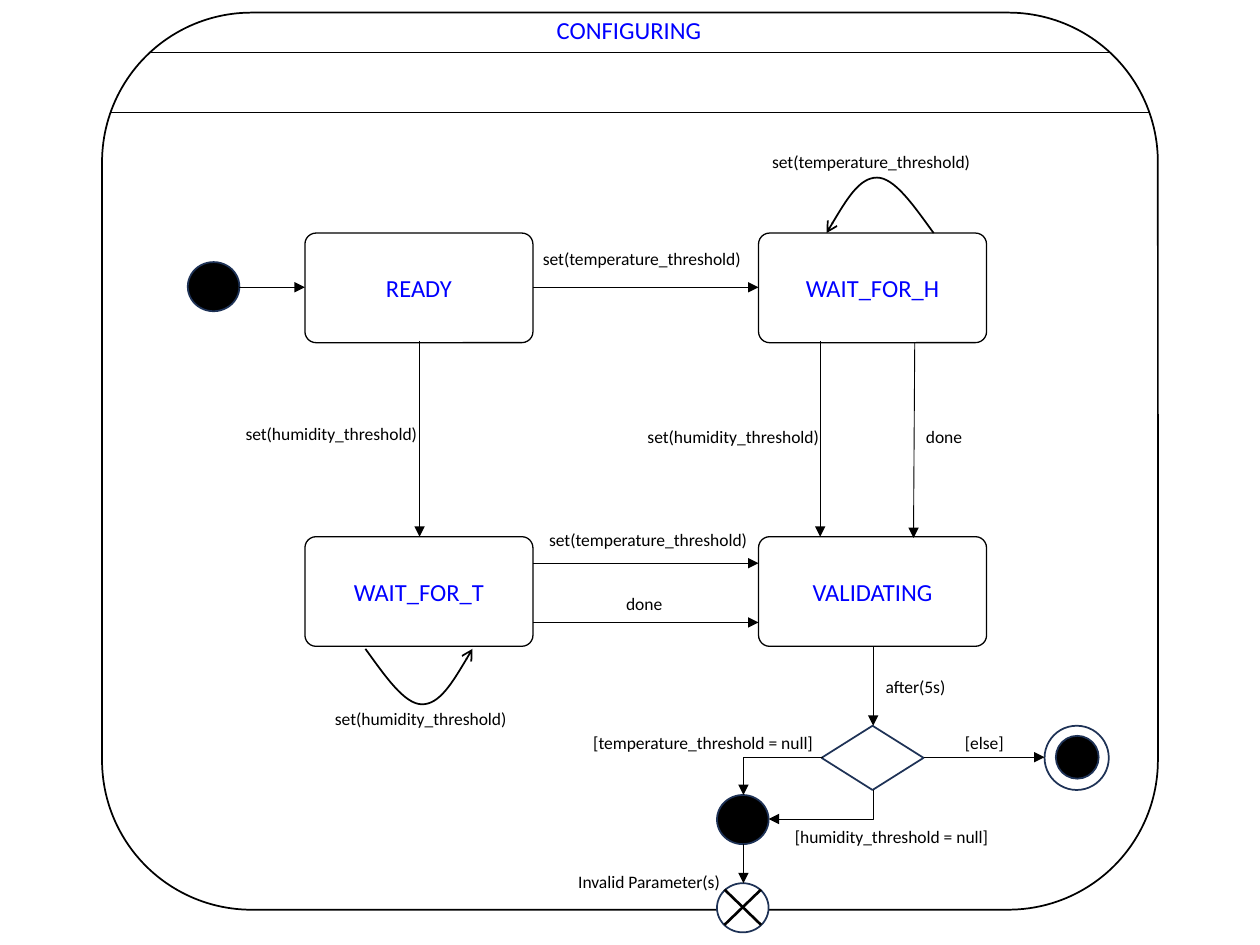
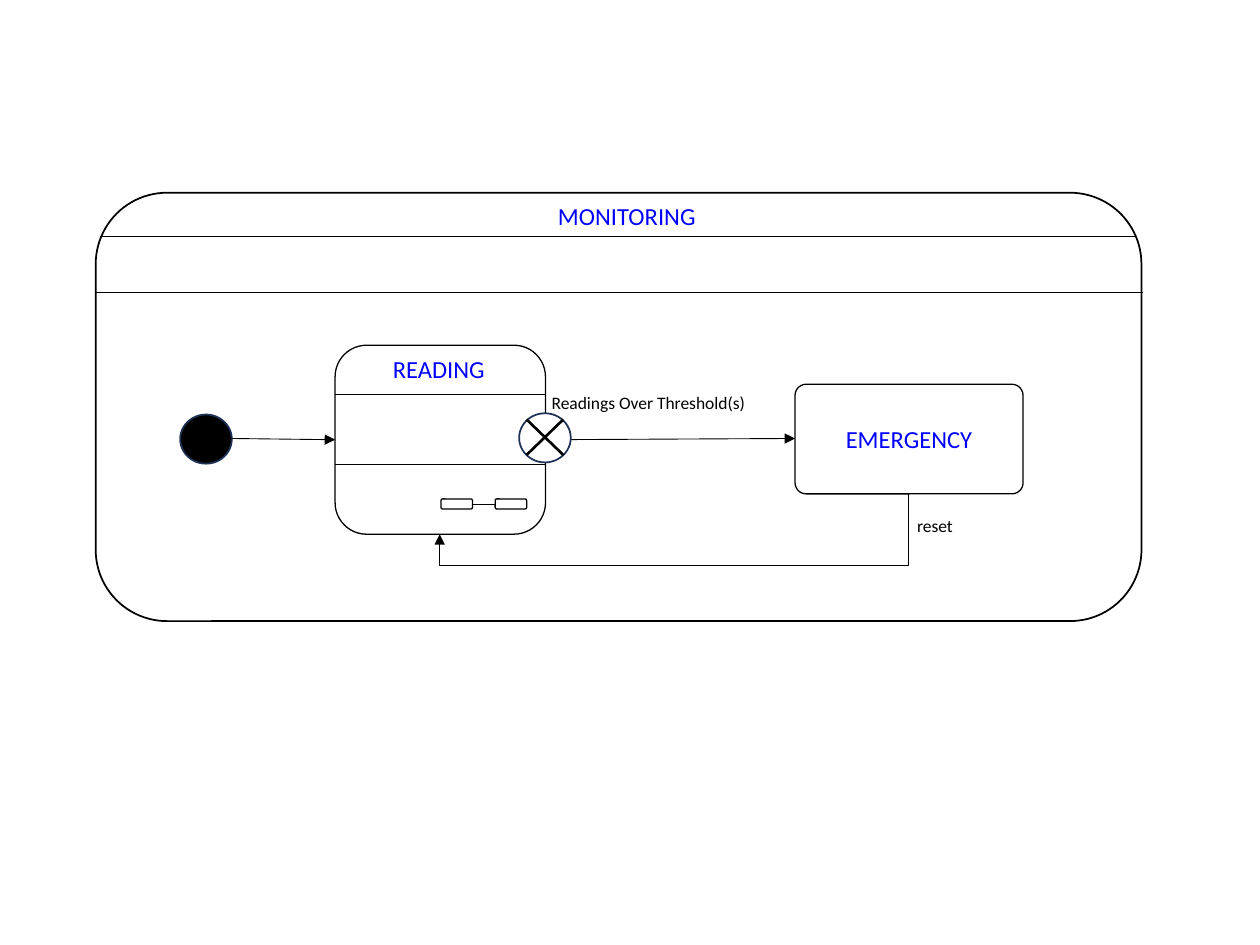
from dataclasses import dataclass
from typing import NamedTuple

from lxml import etree
from pptx import Presentation
from pptx.dml.color import RGBColor
from pptx.enum.shapes import MSO_CONNECTOR, MSO_SHAPE
from pptx.enum.text import MSO_ANCHOR, MSO_AUTO_SIZE, PP_ALIGN
from pptx.oxml.ns import qn
from pptx.util import Inches, Pt

ROUNDED = MSO_SHAPE.ROUNDED_RECTANGLE
CIRCLE = MSO_SHAPE.FLOWCHART_CONNECTOR
DECISION = MSO_SHAPE.FLOWCHART_DECISION
STRAIGHT = MSO_CONNECTOR.STRAIGHT
ELBOW = MSO_CONNECTOR.ELBOW


@dataclass(frozen=True)
class Theme:
    font: str = "Calibri"
    black: RGBColor = RGBColor(0, 0, 0)
    white: RGBColor = RGBColor(255, 255, 255)
    state_name: RGBColor = RGBColor(0, 0, 255)
    node_edge: RGBColor = RGBColor(0x1E, 0x32, 0x56)
    name_size: float = 14
    label_size: float = 10
    thin: float = 0.5
    state_edge: float = 0.75
    frame_edge: float = 1
    cross: float = 1.5


THEME = Theme()
STATE_SIZE = (1.81, 0.87)
NODE_SIZE = (0.41, 0.39)
LOOP_STEPS = [(0.16, 0.22), (0.31, 0.44), (0.45, 0.44), (0.59, 0.44), (0.72, 0.22), (0.85, 0)]


class Label(NamedTuple):
    text: str
    left: float
    top: float
    width: float


class State(NamedTuple):
    name: str
    left: float
    top: float


class Arrow(NamedTuple):
    x1: float
    y1: float
    x2: float
    y2: float


class SelfLoop(NamedTuple):
    left: float
    top: float
    direction: int


class Elbow(NamedTuple):
    left: float
    top: float
    width: float
    height: float
    rotation: int
    flipped: bool = False
    overshoot: float = 0


def write(shape, text: str, size: float, color: RGBColor, align=PP_ALIGN.LEFT) -> None:
    frame = shape.text_frame
    frame.word_wrap = False
    para = frame.paragraphs[0]
    para.text = text
    para.alignment = align
    para.font.name = THEME.font
    para.font.size = Pt(size)
    para.font.color.rgb = color


def style(shape, width: float, edge: RGBColor = THEME.black, fill: RGBColor | None = None) -> None:
    shape.shadow.inherit = False
    shape.line.color.rgb = edge
    shape.line.width = Pt(width)
    if fill is None:
        shape.fill.background()
    else:
        shape.fill.solid()
        shape.fill.fore_color.rgb = fill


def add_outline(shapes, preset, left: float, top: float, width: float, height: float,
                weight: float, edge: RGBColor = THEME.black, fill: RGBColor | None = None):
    shape = shapes.add_shape(preset, Inches(left), Inches(top), Inches(width), Inches(height))
    style(shape, weight, edge, fill)
    return shape


def add_text(shapes, label: Label, size: float = THEME.label_size,
             color: RGBColor = THEME.black) -> None:
    height = 0.34 if size == THEME.name_size else 0.27
    box = shapes.add_textbox(Inches(label.left), Inches(label.top),
                             Inches(label.width), Inches(height))
    write(box, label.text, size, color)
    box.text_frame.auto_size = MSO_AUTO_SIZE.SHAPE_TO_FIT_TEXT


def add_name(shapes, label: Label) -> None:
    add_text(shapes, label, THEME.name_size, THEME.state_name)


def add_state(shapes, state: State) -> None:
    shape = add_outline(shapes, ROUNDED, state.left, state.top, *STATE_SIZE, THEME.state_edge)
    shape.adjustments[0] = 0.101
    shape.text_frame.vertical_anchor = MSO_ANCHOR.MIDDLE
    write(shape, state.name, THEME.name_size, THEME.state_name, PP_ALIGN.CENTER)


def add_head(shape, kind: str) -> None:
    etree.SubElement(shape.line._get_or_add_ln(), qn("a:tailEnd"), type=kind)


def add_line(shapes, x1: float, y1: float, x2: float, y2: float,
             weight: float = THEME.thin, head: bool = False, kind=STRAIGHT):
    line = shapes.add_connector(kind, Inches(x1), Inches(y1), Inches(x2), Inches(y2))
    line.line.color.rgb = THEME.black
    line.line.width = Pt(weight)
    if head:
        add_head(line, "triangle")
    etree.SubElement(line._element.spPr, qn("a:effectLst"))
    return line


def add_elbow(shapes, elbow: Elbow) -> None:
    line = add_line(shapes, elbow.left, elbow.top, elbow.left + elbow.width,
                    elbow.top + elbow.height, head=True, kind=ELBOW)
    properties = line._element.spPr
    frame = properties.find(qn("a:xfrm"))
    frame.set("rot", str(elbow.rotation * 60000))
    if elbow.flipped:
        frame.set("flipV", "1")
    geometry = properties.find(qn("a:prstGeom"))
    if elbow.overshoot:
        guides = geometry.find(qn("a:avLst"))
        if guides is None:
            guides = etree.SubElement(geometry, qn("a:avLst"))
        etree.SubElement(guides, qn("a:gd"), name="adj1",
                         fmla=f"val {round(elbow.overshoot * 100000)}")
    else:
        geometry.set("prst", "bentConnector2")


def add_self_loop(shapes, loop: SelfLoop) -> None:
    builder = shapes.build_freeform(Inches(loop.left), Inches(loop.top))
    builder.add_line_segments(
        [(Inches(loop.left + loop.direction * dx), Inches(loop.top + loop.direction * dy))
         for dx, dy in LOOP_STEPS], close=False)
    shape = builder.convert_to_shape()
    style(shape, THEME.frame_edge)
    add_head(shape, "arrow")
    outline = next(shape._element.iter(qn("a:path")))
    segments = outline.findall(qn("a:lnTo"))
    for start in range(0, len(segments), 3):
        curve = etree.SubElement(outline, qn("a:cubicBezTo"))
        for segment in segments[start:start + 3]:
            curve.append(segment[0])
            outline.remove(segment)


def add_start(shapes, left: float, top: float) -> None:
    add_outline(shapes, CIRCLE, left, top, *NODE_SIZE, THEME.frame_edge,
                THEME.node_edge, THEME.black)


def add_exit(shapes, left: float, top: float) -> None:
    group = shapes.add_group_shape().shapes
    add_outline(group, CIRCLE, left, top, *NODE_SIZE, THEME.frame_edge,
                THEME.node_edge, THEME.white)
    x1, x2, y1, y2 = left + 0.06, left + 0.35, top + 0.05, top + 0.33
    add_line(group, x1, y2, x2, y1, THEME.cross)
    add_line(group, x1, y1, x2, y2, THEME.cross)


def add_final(shapes, left: float, top: float) -> None:
    group = shapes.add_group_shape().shapes
    add_outline(group, CIRCLE, left + 0.09, top + 0.08, 0.34, 0.34, THEME.frame_edge,
                THEME.node_edge, THEME.black)
    add_outline(group, CIRCLE, left, top, 0.51, 0.51, THEME.frame_edge, THEME.node_edge)


def add_diagram(shapes, states: list[State], arrows: list[Arrow],
                elbows: list[Elbow], labels: list[Label]) -> None:
    for state in states:
        add_state(shapes, state)
    for arrow in arrows:
        add_line(shapes, *arrow, head=True)
    for elbow in elbows:
        add_elbow(shapes, elbow)
    for label in labels:
        add_text(shapes, label)


def build_configuring(shapes) -> None:
    set_temperature, set_humidity = "set(temperature_threshold)", "set(humidity_threshold)"
    add_outline(shapes, ROUNDED, 0.81, 0.1, 8.38, 7.12, THEME.frame_edge)
    add_name(shapes, Label("CONFIGURING", 4.32, 0.07, 1.36))
    add_line(shapes, 1.18, 0.42, 8.81, 0.42)
    add_line(shapes, 0.88, 0.89, 9.12, 0.89)
    add_start(shapes, 1.49, 2.08)
    add_start(shapes, 5.69, 6.31)
    add_exit(shapes, 5.69, 7.01)
    add_final(shapes, 8.29, 5.76)
    add_outline(shapes, DECISION, 6.52, 5.76, 0.81, 0.51, THEME.frame_edge, THEME.node_edge)
    add_self_loop(shapes, SelfLoop(7.41, 1.85, -1))
    add_self_loop(shapes, SelfLoop(2.9, 5.15, 1))
    add_diagram(
        shapes,
        [State("READY", 2.42, 1.85), State("WAIT_FOR_H", 6.02, 1.85),
         State("WAIT_FOR_T", 2.42, 4.26), State("VALIDATING", 6.02, 4.26)],
        [Arrow(1.9, 2.28, 2.42, 2.28), Arrow(4.23, 2.28, 6.02, 2.28),
         Arrow(3.33, 2.71, 3.33, 4.26), Arrow(6.51, 2.71, 6.51, 4.26),
         Arrow(7.26, 2.72, 7.25, 4.27), Arrow(4.23, 4.47, 6.02, 4.47),
         Arrow(4.23, 4.94, 6.02, 4.94), Arrow(6.93, 5.13, 6.93, 5.76),
         Arrow(7.33, 6.01, 8.29, 6.01), Arrow(5.9, 6.7, 5.9, 7.01)],
        [Elbow(5.9, 6.01, 0.63, 0.3, 180, flipped=True), Elbow(6.4, 5.97, 0.23, 0.83, 90)],
        [Label(set_temperature, 4.21, 1.92, 1.8), Label(set_temperature, 6.03, 1.15, 1.8),
         Label(set_temperature, 4.26, 4.15, 1.8), Label(set_humidity, 1.85, 3.31, 1.58),
         Label(set_humidity, 5.04, 3.33, 1.58), Label(set_humidity, 2.56, 5.57, 1.58),
         Label("done", 7.25, 3.33, 0.49), Label("done", 4.87, 4.66, 0.49),
         Label("after(5s)", 6.93, 5.32, 0.69), Label("[else]", 7.56, 5.76, 0.52),
         Label("[temperature_threshold = null]", 4.61, 5.76, 1.98),
         Label("[humidity_threshold = null]", 6.21, 6.51, 1.76),
         Label("Invalid Parameter(s)", 4.49, 6.86, 1.35)])


def add_reading(shapes) -> None:
    group = shapes.add_group_shape().shapes
    add_outline(group, ROUNDED, 2.66, 2.74, 1.67, 1.5, THEME.state_edge)
    add_name(group, Label("READING", 3.02, 2.76, 0.94))
    for divider in (3.13, 3.69):
        add_line(group, 2.66, divider, 4.33, divider)
    for left in (3.5, 3.93):
        add_outline(group, ROUNDED, left, 3.96, 0.25, 0.08, THEME.state_edge)
    add_line(group, 3.75, 4, 3.93, 4)


def build_monitoring(shapes) -> None:
    add_outline(shapes, ROUNDED, 0.76, 1.53, 8.3, 3.4, THEME.frame_edge)
    add_name(shapes, Label("MONITORING", 4.33, 1.55, 1.34))
    add_line(shapes, 0.79, 1.88, 9.01, 1.88)
    add_line(shapes, 0.76, 2.32, 9.07, 2.32)
    add_reading(shapes)
    add_start(shapes, 1.43, 3.29)
    add_diagram(
        shapes,
        [State("EMERGENCY", 6.31, 3.05)],
        [Arrow(1.83, 3.48, 2.66, 3.49), Arrow(4.33, 3.49, 6.31, 3.48)],
        [Elbow(5.19, 2.22, 0.32, 3.72, 90, overshoot=1.77)],
        [Label("reset", 7.18, 4.04, 0.49),
         Label("Readings Over Threshold(s)", 4.28, 3.06, 1.76)])
    add_exit(shapes, 4.12, 3.28)


def main() -> None:
    deck = Presentation()
    deck.slide_width, deck.slide_height = Inches(10), Inches(7.5)
    for build in (build_configuring, build_monitoring):
        build(deck.slides.add_slide(deck.slide_layouts[6]).shapes)
    deck.save("out.pptx")


if __name__ == "__main__":
    main()
